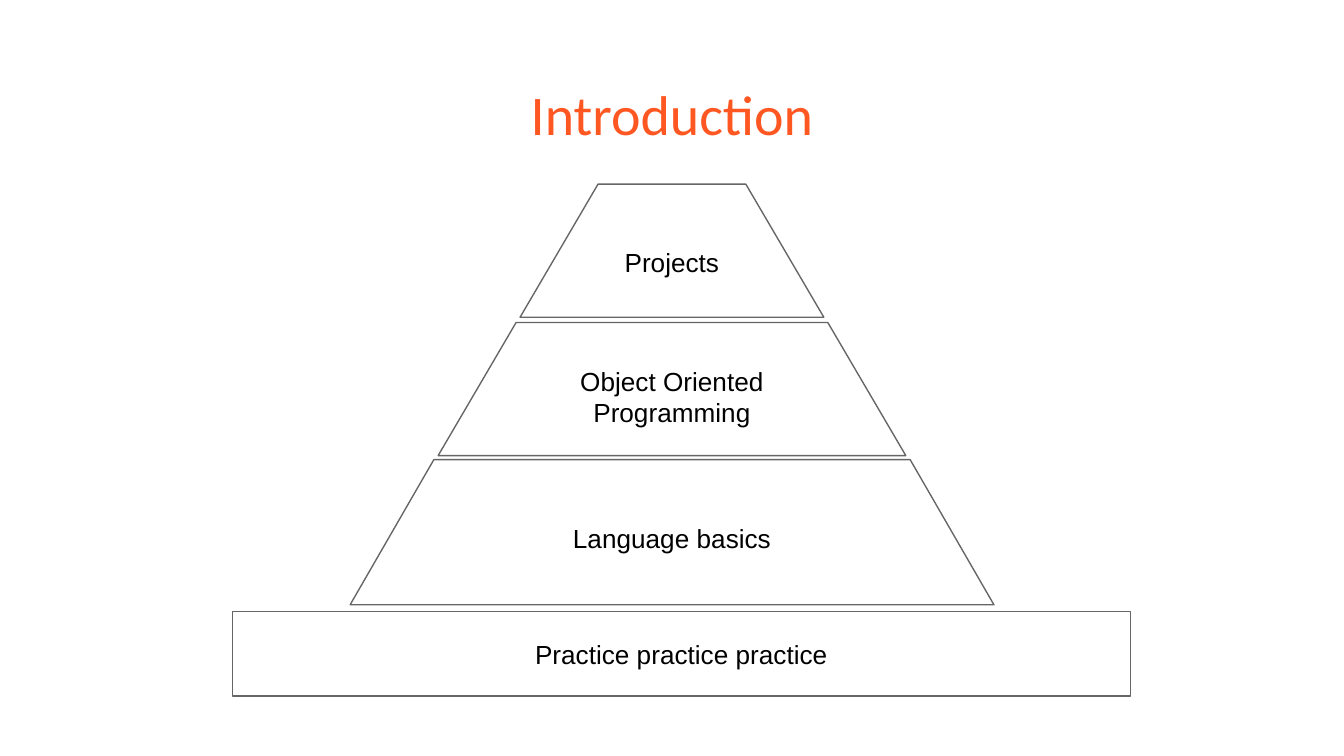
from pptx import Presentation
from pptx.dml.color import RGBColor
from pptx.enum import shapes, text
from pptx.util import Inches, Pt

TITLE = "Introduction"
WIDE = 10
MID = WIDE / 2  # centre line of the pyramid
# label, top, width, height, slant
TIERS = [
    ("Language basics", 3.42, 4.79, 1.08, 0.577),
    ("Object Oriented Programming", 2.4, 3.48, 0.99, 0.586),
    ("Projects", 1.37, 2.26, 0.99, 0.586),
]
BASE = ("Practice practice practice", 1.73, 4.55, 6.68, 0.63)


def color(code):
    return RGBColor.from_string(code)


def write(shape, words, size=14, font="Arial", ink="000000",
          anchor=text.MSO_ANCHOR.MIDDLE):
    frame = shape.text_frame
    frame.word_wrap = True
    frame.auto_size = text.MSO_AUTO_SIZE.NONE
    frame.vertical_anchor = anchor
    frame.margin_left = frame.margin_right = Inches(0.1)
    frame.margin_top = frame.margin_bottom = Inches(0.1)
    para = frame.paragraphs[0]
    para.alignment = text.PP_ALIGN.CENTER
    para.line_spacing = 1.0
    para.space_before = Pt(0)
    run = para.add_run()
    run.text = words
    run.font.size = Pt(size)
    run.font.name = font
    run.font.color.rgb = color(ink)


def block(slide, kind, words, left, top, width, height):
    shape = slide.shapes.add_shape(
        kind, Inches(left), Inches(top), Inches(width), Inches(height))
    shape.shadow.inherit = False
    shape.fill.background()
    shape.line.color.rgb = color("666666")
    shape.line.width = Pt(0.75)
    write(shape, words)
    return shape


def main():
    deck = Presentation()
    deck.slide_width = Inches(WIDE)
    deck.slide_height = Inches(WIDE * 9 / 16)
    slide = deck.slides.add_slide(deck.slide_layouts[5])

    # Title
    title = slide.shapes.title
    title.left, title.top = Inches(0.34), Inches(0.49)
    title.width, title.height = Inches(9.32), Inches(0.63)
    write(title, TITLE, size=30, font="Calibri", ink="FF5722",
          anchor=text.MSO_ANCHOR.TOP)

    # Pyramid tiers, each centred
    for words, top, width, height, slant in TIERS:
        tier = block(slide, shapes.MSO_SHAPE.TRAPEZOID, words,
                     MID - width / 2, top, width, height)
        tier.adjustments[0] = slant

    # Base
    block(slide, shapes.MSO_SHAPE.RECTANGLE, *BASE)

    deck.save("out.pptx")


if __name__ == "__main__":
    main()
